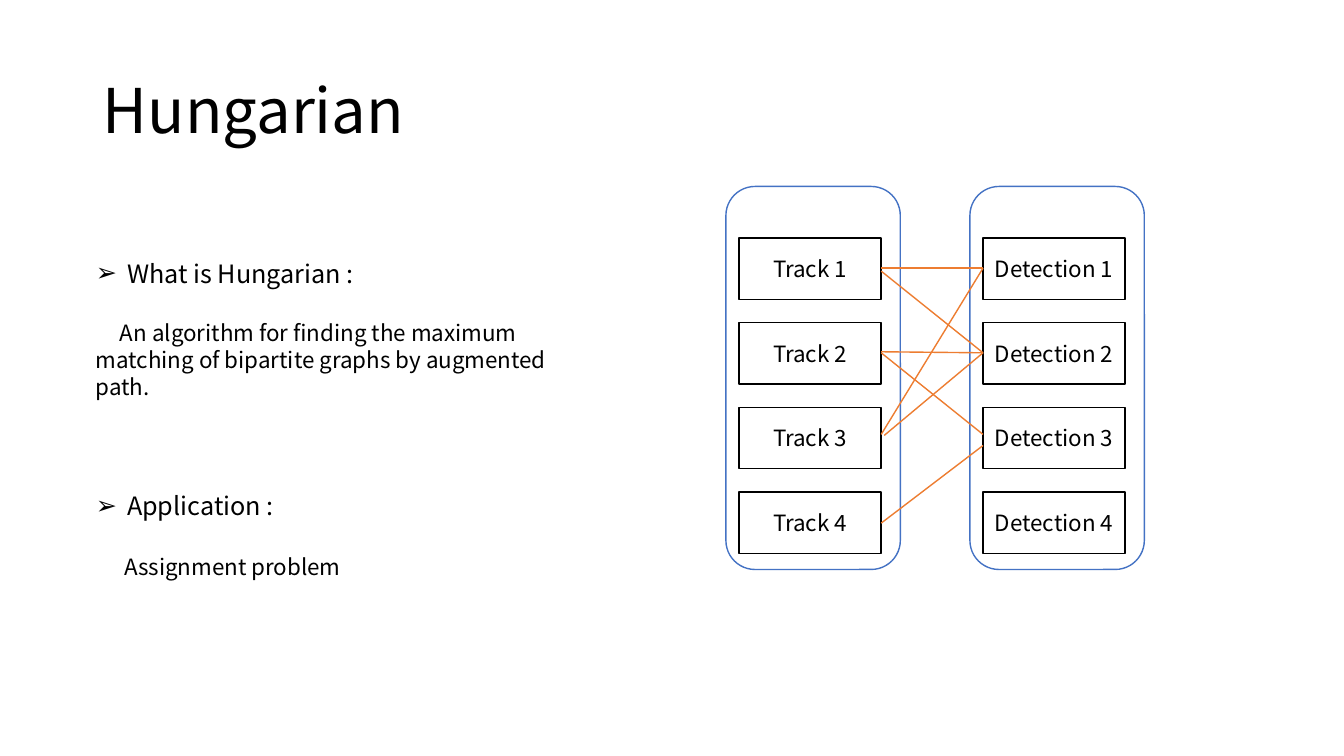
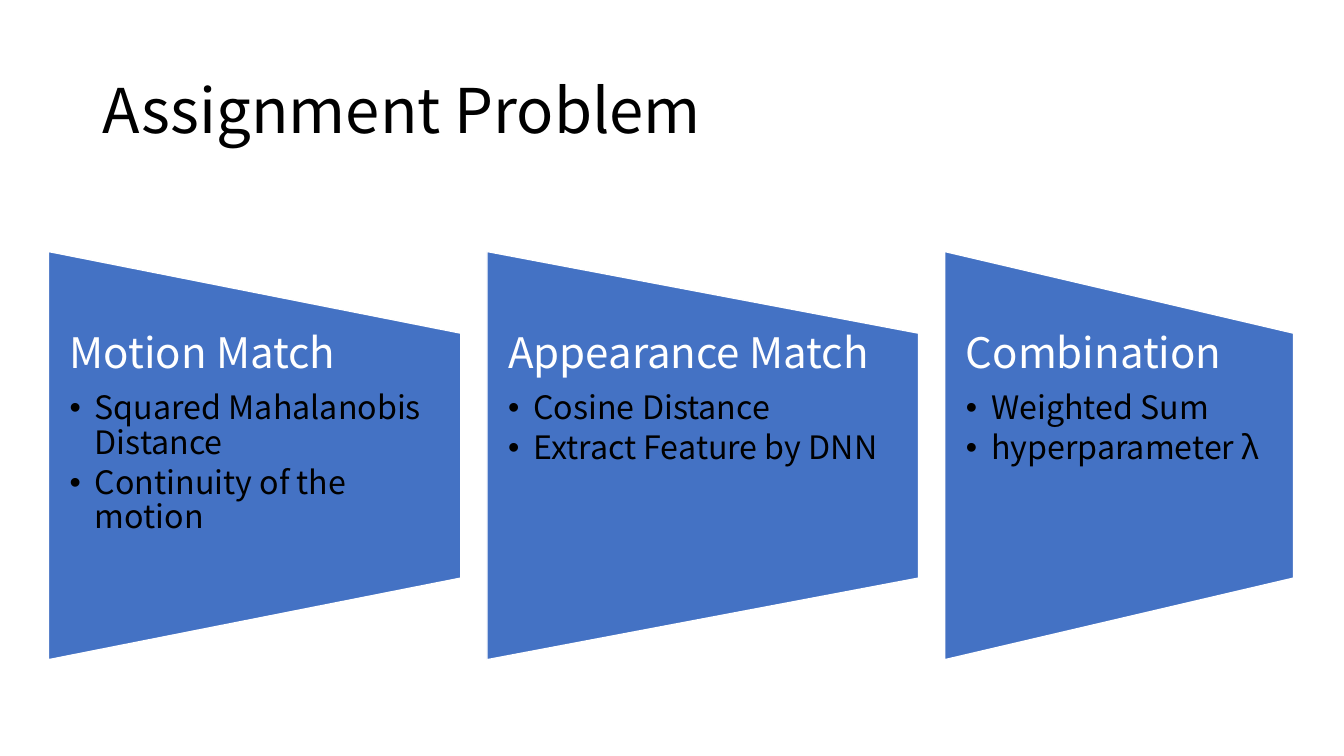
from lxml import etree
from pptx import Presentation
from pptx.dml.color import RGBColor
from pptx.enum.shapes import MSO_CONNECTOR as LINK, MSO_SHAPE as SHAPE
from pptx.enum.text import MSO_ANCHOR as ANCHOR, MSO_AUTO_SIZE as FIT, PP_ALIGN as ALIGN
from pptx.oxml.ns import qn
from pptx.util import Inches, Pt

FONT = "Noto Sans CJK SC"
BLACK = RGBColor(0x00, 0x00, 0x00)
WHITE = RGBColor(0xFF, 0xFF, 0xFF)
BLUE = RGBColor(0x44, 0x72, 0xC4)
ORANGE = RGBColor(0xED, 0x7D, 0x31)

deck = Presentation()
deck.slide_width, deck.slide_height = Inches(13.33), Inches(7.5)


def style(para, size, color=BLACK, bullet=None, left=0, indent=0):
    """Set the bullet, indents (inches) and font of a paragraph."""
    props = para._p.get_or_add_pPr()
    props.set("marL", str(Inches(left)))
    props.set("indent", str(Inches(indent)))
    if bullet:
        etree.SubElement(props, qn("a:buFont")).set("typeface", "Arial")
        etree.SubElement(props, qn("a:buChar")).set("char", bullet)
    else:
        etree.SubElement(props, qn("a:buNone"))
    font = para.font
    font.name, font.size, font.color.rgb = FONT, Pt(size), color


def place(shape, left, top, width, height):
    shape.left, shape.top = Inches(left), Inches(top)
    shape.width, shape.height = Inches(width), Inches(height)


# Slides with their titles
slides = []
for layout, text in [(1, "Hungarian"), (5, "Assignment Problem")]:
    slide = deck.slides.add_slide(deck.slide_layouts[layout])
    title = slide.shapes.title
    place(title, 0.92, 0.4, 11.5, 1.45)
    frame = title.text_frame
    frame.text = text
    frame.auto_size, frame.vertical_anchor = FIT.NONE, ANCHOR.MIDDLE
    para = frame.paragraphs[0]
    para.alignment, para.line_spacing = ALIGN.LEFT, 0.9
    style(para, 44)
    slides.append(slide)
graph, steps = slides

# Slide 1: questions and answers
body = graph.placeholders[1]
place(body, 0.85, 2.51, 5.21, 3.67)
frame = body.text_frame
frame.auto_size = FIT.NONE
# text, size, bullet, left, indent, space before
lines = [
    ("What is Hungarian :", 18, "➢", 0.31, -0.31, 0),
    ("An algorithm for finding the maximum matching of bipartite graphs by augmented path.",
     16, None, 0, 0.24, 22),
    ("Application :", 18, "➢", 0.31, -0.31, 65),
    ("Assignment problem", 16, None, 0, 0.28, 23),
]
for n, (text, size, bullet, left, indent, gap) in enumerate(lines):
    para = frame.add_paragraph() if n else frame.paragraphs[0]
    para.text = text
    para.space_before = Pt(gap)
    style(para, size, BLACK, bullet, left, indent)

# Slide 1: the two sides of the graph
for name, left in [("Track", 7.2), ("Detection", 9.62)]:
    parts = [(SHAPE.ROUNDED_RECTANGLE, left, 1.85, 1.73, 3.8, BLUE, "")]
    parts += [(SHAPE.RECTANGLE, left + 0.13, 2.36 + 0.84 * n, 1.41, 0.61, BLACK, f"{name} {n + 1}")
              for n in range(4)]
    for kind, x, y, width, height, color, text in parts:
        box = graph.shapes.add_shape(kind, Inches(x), Inches(y), Inches(width), Inches(height))
        box.shadow.inherit = False
        box.fill.solid()
        box.fill.fore_color.rgb = WHITE
        box.line.color.rgb, box.line.width = color, Pt(1)
        if text:
            box.text_frame.text = text
            box.text_frame.vertical_anchor = ANCHOR.MIDDLE
            para = box.text_frame.paragraphs[0]
            para.alignment = ALIGN.CENTER
            style(para, 16)

# Slide 1: possible matches, as start x, start y, end y
edges = [(8.74, 2.69, 3.5), (8.74, 3.5, 4.31), (8.74, 4.31, 2.66), (8.74, 5.19, 4.42),
         (8.74, 2.66, 2.66), (8.74, 3.49, 3.5), (8.77, 4.32, 3.5)]
for x, start, end in edges:
    edge = graph.shapes.add_connector(LINK.STRAIGHT, Inches(x), Inches(start),
                                      Inches(9.75), Inches(end))
    edge.line.color.rgb, edge.line.width = ORANGE, Pt(1)
    etree.SubElement(edge._element.spPr, qn("a:effectLst"))

# Slide 2: three tapered cards
cards = [
    (4.09, "Motion Match", ["Squared Mahalanobis Distance", "Continuity of the motion"]),
    (4.28, "Appearance Match", ["Cosine Distance", "Extract Feature by DNN"]),
    (3.46, "Combination", ["Weighted Sum", "hyperparameter λ"]),
]
left, middle, tall, gap = 0.48, 4.52, 4.05, 0.26
for width, head, items in cards:
    # The shape is turned on its side, so its width is the card's height
    card = steps.shapes.add_shape(SHAPE.FLOWCHART_MANUAL_OPERATION,
                                  Inches(left + (width - tall) / 2), Inches(middle - width / 2),
                                  Inches(tall), Inches(width))
    card.rotation = 270
    card.shadow.inherit = False
    card.fill.solid()
    card.fill.fore_color.rgb = BLUE
    card.line.color.rgb, card.line.width = WHITE, Pt(1)

    label = steps.shapes.add_textbox(Inches(left), Inches(3.3), Inches(width), Inches(2.43))
    frame = label.text_frame
    frame.word_wrap = True
    frame.margin_left = frame.margin_right = Inches(0.21)
    frame.margin_top = frame.margin_bottom = 0
    frame.text = "\n".join([head] + items)
    for n, para in enumerate(frame.paragraphs):
        para.line_spacing = 0.9
        para.space_after = Pt(3.5 if n else 10)
        if n:
            style(para, 23, BLACK, "•", 0.25, -0.25)
        else:
            style(para, 30, WHITE)
    left += width + gap

deck.save("out.pptx")
